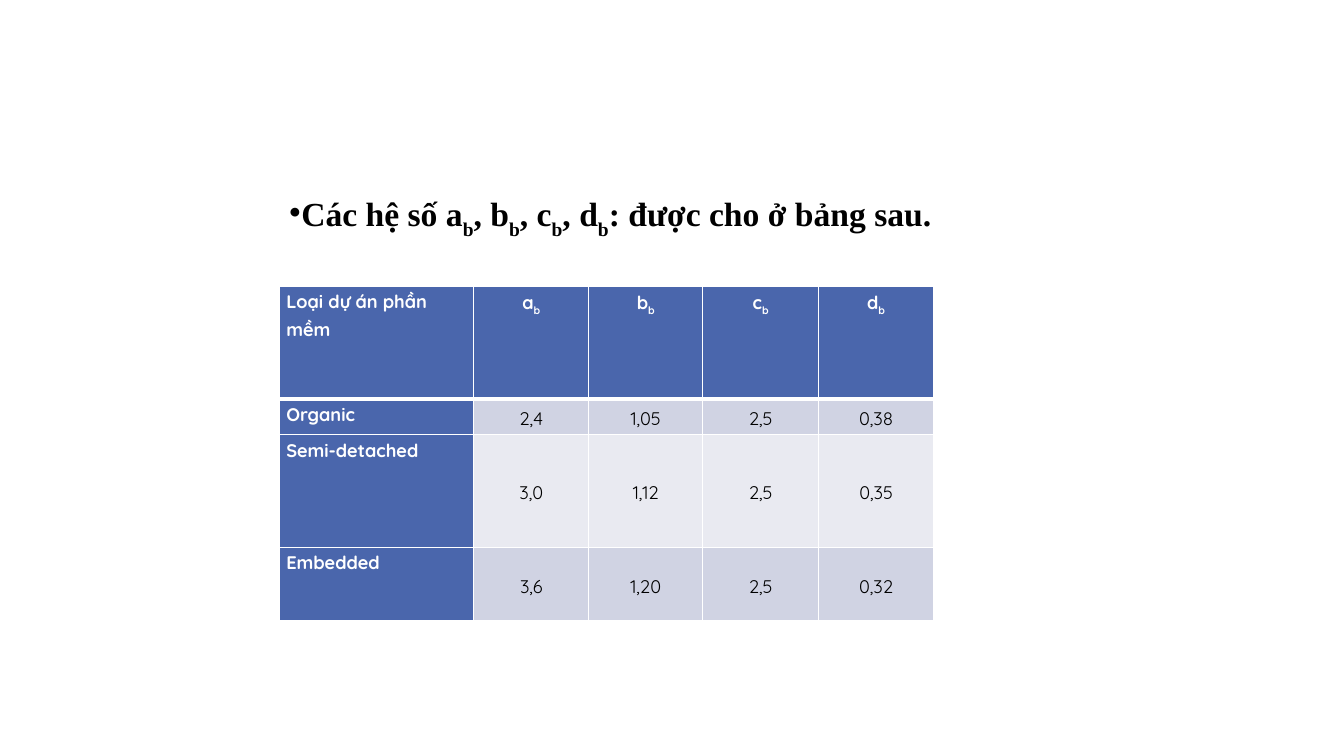
from lxml.etree import SubElement
from pptx import Presentation
from pptx.dml.color import RGBColor
from pptx.enum.text import MSO_ANCHOR as ANCHOR, MSO_AUTO_SIZE as AUTO_SIZE, PP_ALIGN as ALIGN
from pptx.oxml.ns import qn
from pptx.util import Inches, Pt

BLUE, WHITE, BLACK = "4A66AC", "FFFFFF", "000000"
BANDS = ("D0D3E3", "E9EAF1")


def rgb(color):
    return RGBColor.from_string(color)


def write(p, text, font, size, color, bold=False, base=-25000):
    """Fill a paragraph; every second part between bars is a subscript."""
    for i, part in enumerate(text.split("|")):
        if not part:
            continue
        r = p.add_run()
        r.text = part
        r.font.name, r.font.size, r.font.bold = font, Pt(size), bold
        r.font.color.rgb = rgb(color)
        if i % 2:
            r.font._element.set("baseline", str(base))


class Deck:
    heading_font = "Times New Roman"
    table_font = "Quicksand"

    def __init__(self):
        self.prs = Presentation()
        self.prs.slide_width, self.prs.slide_height = Inches(13.33), Inches(7.5)
        self.s = self.prs.slides.add_slide(self.prs.slide_layouts[5])

    def heading(self, text, x, y, w, h):
        sp = self.s.shapes.title
        sp.left, sp.top, sp.width, sp.height = map(Inches, (x, y, w, h))
        tf = sp.text_frame
        tf.word_wrap, tf.auto_size = True, AUTO_SIZE.SHAPE_TO_FIT_TEXT
        tf.vertical_anchor = ANCHOR.MIDDLE
        p = tf.paragraphs[0]
        p.alignment = ALIGN.LEFT
        pPr = p._p.get_or_add_pPr()
        pPr.set("marL", "0")
        pPr.set("indent", "0")
        SubElement(pPr, qn("a:buChar"), char="•")
        write(p, text, self.heading_font, 24, BLACK, bold=True, base=-30000)

    def borders(self, cell, **widths):
        tcPr = cell._tc.get_or_add_tcPr()
        for side in "LRTB":
            ln = SubElement(tcPr, qn("a:ln" + side), w=str(Pt(widths.get(side, 1))))
            fill = SubElement(ln, qn("a:solidFill"))
            SubElement(fill, qn("a:srgbClr"), val=WHITE)

    def cell(self, cell, text, row, col):
        label = row == 0 or col == 0
        # A thick rule separates the header from the values
        self.borders(cell, T=3 if row == 1 else 1, B=3 if row == 0 else 1)
        cell.fill.solid()
        cell.fill.fore_color.rgb = rgb(BLUE if label else BANDS[(row - 1) % 2])
        cell.margin_left = cell.margin_right = Inches(0.07)
        cell.margin_top = cell.margin_bottom = 0
        cell.vertical_anchor = ANCHOR.TOP if label else ANCHOR.MIDDLE
        p = cell.text_frame.paragraphs[0]
        p.alignment = ALIGN.CENTER if col else ALIGN.LEFT
        p.line_spacing = 1.2
        write(p, text, self.table_font, 13, WHITE if label else BLACK, bold=label)

    def table(self, rows, x, y, widths, heights):
        box = map(Inches, (x, y, sum(widths), sum(heights)))
        table = self.s.shapes.add_table(len(rows), len(widths), *box).table
        for column, width in zip(table.columns, widths):
            column.width = Inches(width)
        for row, height in zip(table.rows, heights):
            row.height = Inches(height)
        for i, texts in enumerate(rows):
            for j, text in enumerate(texts):
                self.cell(table.cell(i, j), text, i, j)


def main():
    deck = Deck()

    # Heading line
    deck.heading("Các hệ số a|b|, b|b|, c|b|, d|b|: được cho ở bảng sau.",
                 2.77, 1.9, 7.19, 0.5)

    # Coefficients by project type
    deck.table(
        [("Loại dự án phần mềm", "a|b", "b|b", "c|b", "d|b"),
         ("Organic", "2,4", "1,05", "2,5", "0,38"),
         ("Semi-detached", "3,0", "1,12", "2,5", "0,35"),
         ("Embedded", "3,6", "1,20", "2,5", "0,32")],
        2.77, 2.84,
        widths=(1.93, 1.14, 1.13, 1.15, 1.14),
        heights=(1.12, 0.35, 1.12, 0.73))

    deck.prs.save("out.pptx")


if __name__ == "__main__":
    main()
